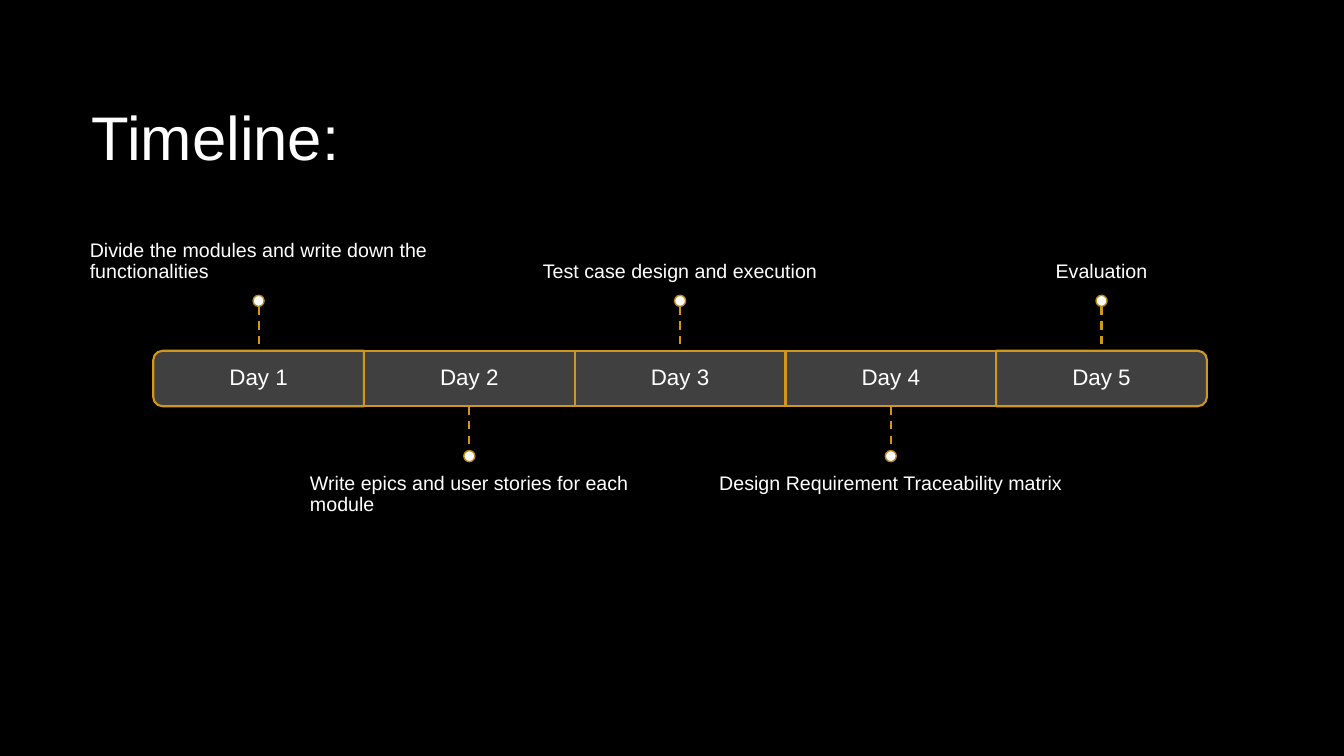
from lxml import etree
from pptx import Presentation
from pptx.dml.color import RGBColor
from pptx.enum import dml, shapes, text
from pptx.oxml.ns import qn
from pptx.util import Inches, Pt

# Content
TITLE = "Timeline:"
DAYS = [
    ("Day 1", "Divide the modules and write down the functionalities"),
    ("Day 2", "Write epics and user stories for each module"),
    ("Day 3", "Test case design and execution"),
    ("Day 4", "Design Requirement Traceability matrix"),
    ("Day 5", "Evaluation"),
]

# Style
FONT = "Arial"
BLACK = RGBColor(0x00, 0x00, 0x00)
WHITE = RGBColor(0xFF, 0xFF, 0xFF)
GREY = RGBColor(0x40, 0x40, 0x40)
GOLD = RGBColor(0xD1, 0x97, 0x1A)
DARK_GOLD = RGBColor(0xBE, 0x89, 0x18)

# Grid in inches: one column per day, the bar as the middle row
BAR_LEFT, BAR_TOP, COL_W, BAR_H = 1.52, 3.48, 2.09, 0.55
STEM, DOT = 0.44, 0.11
NOTE_W, NOTE_H, NOTE_GAP = 3.49, 1.92, 0.12


def box(*lengths):
    return [Inches(n) for n in lengths]


def write(tf, words, size, anchor, align=text.PP_ALIGN.LEFT):
    tf.word_wrap = True
    tf.auto_size = text.MSO_AUTO_SIZE.NONE
    tf.vertical_anchor = anchor
    tf.text = words
    p = tf.paragraphs[0]
    p.alignment, p.line_spacing = align, 0.9
    font = p.runs[0].font
    font.name, font.size, font.color.rgb = FONT, Pt(size), WHITE


def add_filled(kind, lengths, fill, line, width):
    sp = slide.shapes.add_shape(kind, *box(*lengths))
    sp.shadow.inherit = False
    sp.fill.solid()
    sp.fill.fore_color.rgb = fill
    sp.line.color.rgb, sp.line.width = line, Pt(width)
    return sp


def add_segment(i, name):
    left = BAR_LEFT + i * COL_W
    cell = (left, BAR_TOP, COL_W, BAR_H)
    if 0 < i < len(DAYS) - 1:
        add_filled(shapes.MSO_SHAPE.RECTANGLE, cell, GREY, GOLD, 1.5)
    else:
        # End caps are upright shapes turned on their side
        inset = (COL_W - BAR_H) / 2
        cap = (left + inset, BAR_TOP - inset, BAR_H, COL_W)
        sp = add_filled(shapes.MSO_SHAPE.ROUND_2_SAME_RECTANGLE, cap, GREY, GOLD, 1.5)
        sp.rotation = 270 if i == 0 else 90
    tf = slide.shapes.add_textbox(*box(*cell)).text_frame
    write(tf, name, 16, text.MSO_ANCHOR.MIDDLE, text.PP_ALIGN.CENTER)


def add_note(i, note):
    centre = BAR_LEFT + (i + 0.5) * COL_W
    above = i % 2 == 0
    if above:
        stem_top = BAR_TOP - STEM
        dot_top = stem_top - DOT
        note_top = dot_top - NOTE_H
    else:
        stem_top = BAR_TOP + BAR_H
        dot_top = stem_top + STEM
        note_top = dot_top + DOT

    # Text, kept left-aligned as a block centred over its day
    tf = slide.shapes.add_textbox(
        *box(centre - NOTE_W / 2, note_top, NOTE_W, NOTE_H)).text_frame
    write(tf, note, 14, text.MSO_ANCHOR.BOTTOM if above else text.MSO_ANCHOR.TOP)
    tf.margin_left = tf.margin_right = 0
    tf.margin_top = Inches(0 if above else NOTE_GAP)
    tf.margin_bottom = Inches(NOTE_GAP if above else 0)
    tf._txBody.find(qn("a:bodyPr")).set("anchorCtr", "1")

    # Dashed stem and dot
    stem = slide.shapes.add_connector(
        shapes.MSO_CONNECTOR.STRAIGHT, *box(centre, stem_top, centre, stem_top + STEM))
    stem.line.color.rgb, stem.line.width = GOLD, Pt(1.5)
    stem.line.dash_style = dml.MSO_LINE.DASH
    etree.SubElement(stem._element.spPr, qn("a:effectLst"))
    add_filled(shapes.MSO_SHAPE.OVAL, (centre - DOT / 2, dot_top, DOT, DOT),
               WHITE, DARK_GOLD, 1)


# Slide
prs = Presentation()
prs.slide_width, prs.slide_height = box(13.33, 7.5)
slide = prs.slides.add_slide(prs.slide_layouts[5])
slide.background.fill.solid()
slide.background.fill.fore_color.rgb = BLACK

# Title
title = slide.shapes.title
title.left, title.top, title.width, title.height = box(0.81, 1.01, 11.67, 0.95)
write(title.text_frame, TITLE, 44, text.MSO_ANCHOR.TOP)

# Timeline
for i, (name, note) in enumerate(DAYS):
    add_segment(i, name)
    add_note(i, note)

prs.save("out.pptx")
